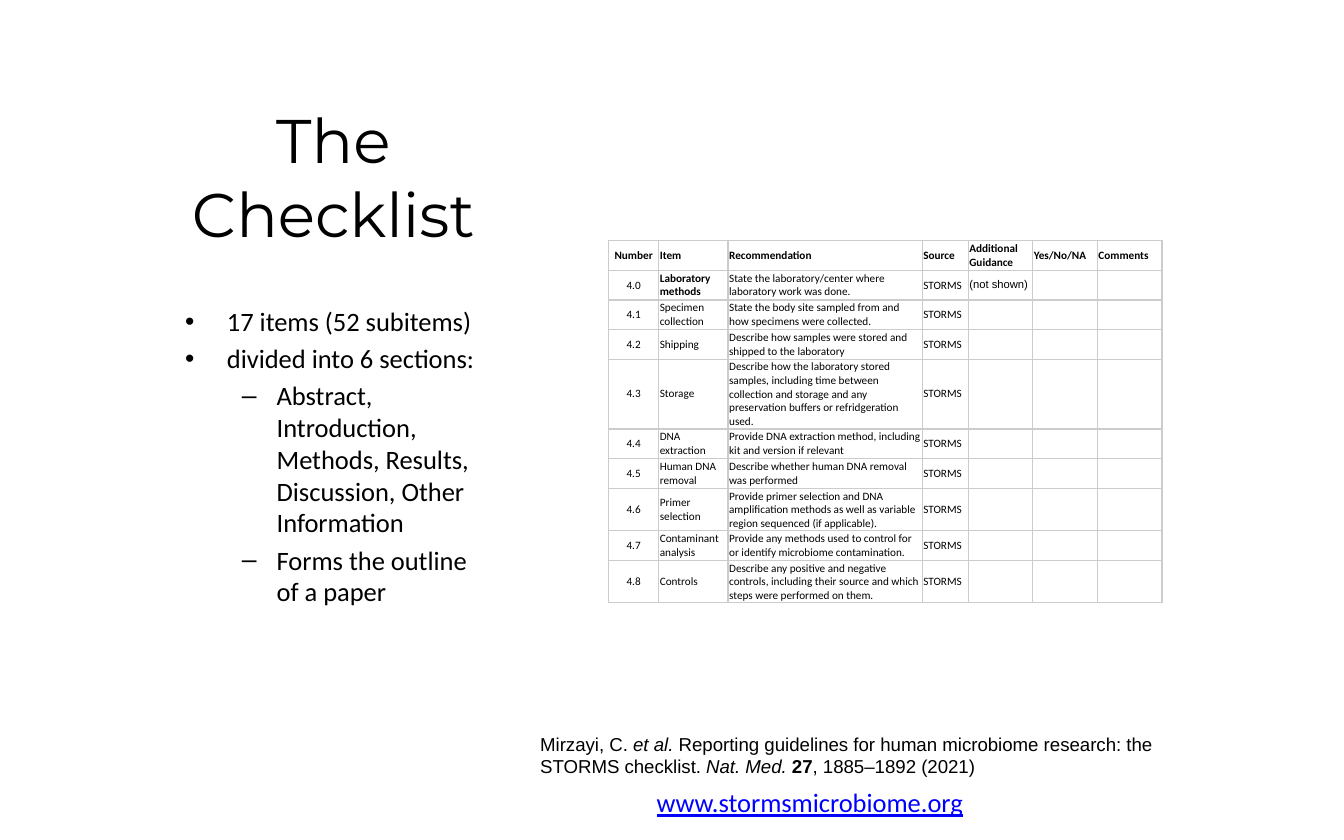
"""Builds the STORMS checklist slide."""
from dataclasses import dataclass

from lxml import etree
from pptx import Presentation
from pptx.dml.color import RGBColor
from pptx.enum import text as t
from pptx.oxml import ns
from pptx.util import Cm, Pt


@dataclass(frozen=True)
class Theme:
    ink: str = "000000"
    link: str = "0000FF"
    paper: str = "FFFFFF"
    grid: str = "CCCCCC"
    heading_font: str = "Montserrat"
    body_font: str = "Calibri"
    citation_font: str = "Arial"
    heading_size: float = 33
    body_size: float = 14.2
    citation_size: float = 10
    table_size: float = 6
    grid_width: float = 0.75


THEME = Theme()


def add_run(paragraph, content, *, size=THEME.body_size, font=THEME.body_font,
            color=THEME.ink, bold=False, italic=False, underline=False):
    run = paragraph.add_run()
    run.text = content
    run.font.size = Pt(size)
    run.font.name = font
    run.font.color.rgb = RGBColor.from_string(color)
    run.font.bold, run.font.italic, run.font.underline = bold, italic, underline


def add_xml(parent, tag, **attributes):
    return etree.SubElement(parent, ns.qn(tag), attributes)


class ChecklistSlide:
    def __init__(self, slide, theme):
        self.slide, self.theme = slide, theme

    def text(self, box, paragraphs, anchor=t.MSO_ANCHOR.TOP, align=t.PP_ALIGN.LEFT,
             insets=(0.25, 0.13), line_spacing=None):
        """Each paragraph is a list of (content, format) runs."""
        frame = self.slide.shapes.add_textbox(*map(Cm, box)).text_frame
        frame.word_wrap = True
        frame.vertical_anchor = anchor
        frame.margin_left = frame.margin_right = Cm(insets[0])
        frame.margin_top = frame.margin_bottom = Cm(insets[1])
        for index, runs in enumerate(paragraphs):
            paragraph = frame.add_paragraph() if index else frame.paragraphs[0]
            paragraph.alignment = align
            paragraph.line_spacing = line_spacing
            for content, style in runs:
                add_run(paragraph, content, **style)
        return frame

    def bullets(self, box, items):
        """Each item is a (level, content) pair."""
        frame = self.text(box, [[(content, {})] for _, content in items])
        shapes_by_level = (("•", 0.79, -0.79), ("–", 1.73, -0.66))
        for index, (paragraph, (level, _)) in enumerate(zip(frame.paragraphs, items)):
            mark, margin, indent = shapes_by_level[level]
            paragraph.level = level
            if index:
                paragraph.space_before = Pt(0.2 * self.theme.body_size)
            properties = paragraph._p.get_or_add_pPr()
            properties.set("marL", str(Cm(margin)))
            properties.set("indent", str(Cm(indent)))
            add_xml(properties, "a:buFont", typeface="Arial")
            add_xml(properties, "a:buChar", char=mark)

    def cell(self, cell, content, centered, **style):
        cell.margin_left = cell.margin_right = Cm(0.02)
        cell.margin_top = cell.margin_bottom = Cm(0.02)
        cell.vertical_anchor = t.MSO_ANCHOR.MIDDLE
        properties = cell._tc.get_or_add_tcPr()
        for side in ("a:lnL", "a:lnR", "a:lnT", "a:lnB"):
            line = add_xml(properties, side, w=str(Pt(self.theme.grid_width)))
            add_xml(add_xml(line, "a:solidFill"), "a:srgbClr", val=self.theme.grid)
        cell.fill.solid()
        cell.fill.fore_color.rgb = RGBColor.from_string(self.theme.paper)
        paragraph = cell.text_frame.paragraphs[0]
        paragraph.alignment = t.PP_ALIGN.CENTER if centered else t.PP_ALIGN.LEFT
        if content:
            add_run(paragraph, content, size=self.theme.table_size, **style)
        else:
            add_xml(paragraph._p, "a:endParaRPr", sz=str(self.theme.table_size * 100))

    def table(self, left, top, widths, heights, rows, styles):
        """Styles maps (row, column) to a run format that departs from the plain one."""
        grid = self.slide.shapes.add_table(
            len(rows), len(widths), Cm(left), Cm(top),
            Cm(sum(widths)), Cm(sum(heights))).table
        grid.first_row = grid.horz_banding = False
        for column, width in zip(grid.columns, widths):
            column.width = Cm(width)
        for r, (height, row) in enumerate(zip(heights, rows)):
            grid.rows[r].height = Cm(height)
            for c in range(len(widths)):
                content = row[c] if c < len(row) else ""
                style = {"bold": r == 0, **styles.get((r, c), {})}
                self.cell(grid.cell(r, c), content, c == 0, **style)


HEADER = ("Number", "Item", "Recommendation", "Source", "Additional Guidance",
          "Yes/No/NA", "Comments")
METHODS = (
    ("Laboratory methods", "State the laboratory/center where laboratory work was done."),
    ("Specimen collection",
     "State the body site sampled from and how specimens were collected."),
    ("Shipping", "Describe how samples were stored and shipped to the laboratory"),
    ("Storage", "Describe how the laboratory stored samples, including time between "
     "collection and storage and any preservation buffers or refridgeration used."),
    ("DNA extraction",
     "Provide DNA extraction method, including kit and version if relevant"),
    ("Human DNA removal", "Describe whether human DNA removal was performed"),
    ("Primer selection", "Provide primer selection and DNA amplification methods as well "
     "as variable region sequenced (if applicable)."),
    ("Contaminant analysis",
     "Provide any methods used to control for or identify microbiome contamination."),
    ("Controls", "Describe any positive and negative controls, including their source "
     "and which steps were performed on them."),
)


def main():
    deck = Presentation()
    deck.slide_width, deck.slide_height = Cm(25.4), Cm(15.88)
    page = ChecklistSlide(deck.slides.add_slide(deck.slide_layouts[6]), THEME)

    heading = {"size": THEME.heading_size, "font": THEME.heading_font}
    page.text((3.25, 1.45, 6.1, 3.76), [[("The Checklist", heading)]],
              anchor=t.MSO_ANCHOR.MIDDLE, align=t.PP_ALIGN.CENTER)
    page.bullets((3.25, 5.64, 6.1, 8.76), [
        (0, "17 items (52 subitems)"),
        (0, "divided into 6 sections:"),
        (1, "Abstract, Introduction, Methods, Results, Discussion, Other Information"),
        (1, "Forms the outline of a paper"),
    ])

    rows = [HEADER] + [(f"4.{number}", item, advice, "STORMS")
                       for number, (item, advice) in enumerate(METHODS)]
    rows[1] += ("(not shown)",)
    short, medium, tall = 0.56, 0.79, 1.32
    heights = [short] * 4 + [tall] + [short] * 2 + [medium, short, medium]
    page.table(11.5, 4.55, (0.95, 1.31, 3.67, 0.87, 1.22, 1.22, 1.22), heights, rows,
               {(1, 1): {"bold": True}, (1, 4): {"font": THEME.citation_font}})

    address = {"color": THEME.link, "underline": True}
    page.text((11.33, 14.83, 7.95, 0.86), [[("www.stormsmicrobiome.org", address)]],
              align=t.PP_ALIGN.CENTER, insets=(0.2, 0.1), line_spacing=0.9)
    plain = {"size": THEME.citation_size, "font": THEME.citation_font}
    italic, bold = {**plain, "italic": True}, {**plain, "bold": True}
    page.text((9.96, 13.72, 13.34, 1.12), [[
        ("Mirzayi, C. ", plain), ("et al.", italic),
        (" Reporting guidelines for human microbiome research: the STORMS checklist. ",
         plain),
        ("Nat. Med. ", italic), ("27", bold), (", 1885–1892 (2021)", plain)]])
    deck.save("out.pptx")


if __name__ == "__main__":
    main()
